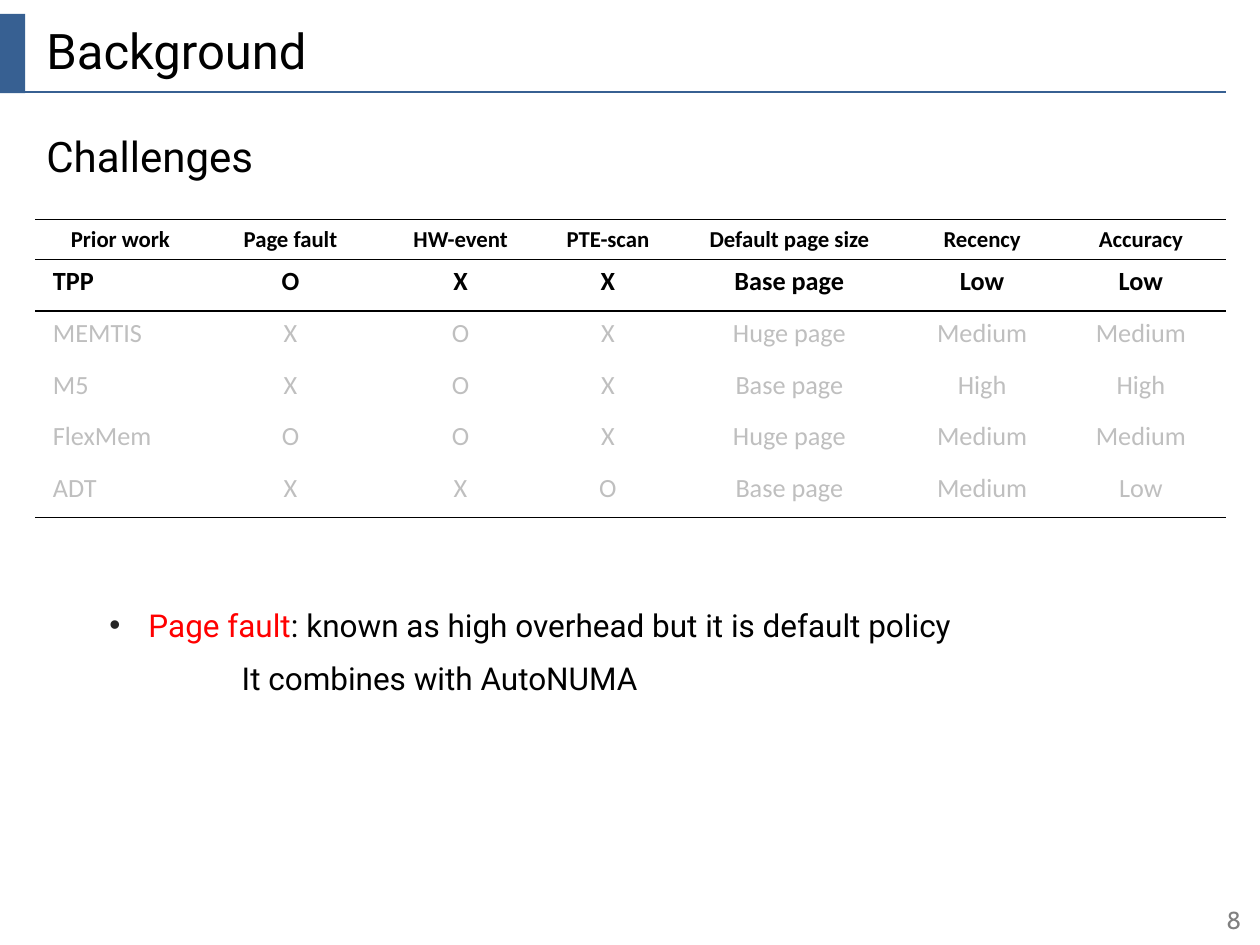
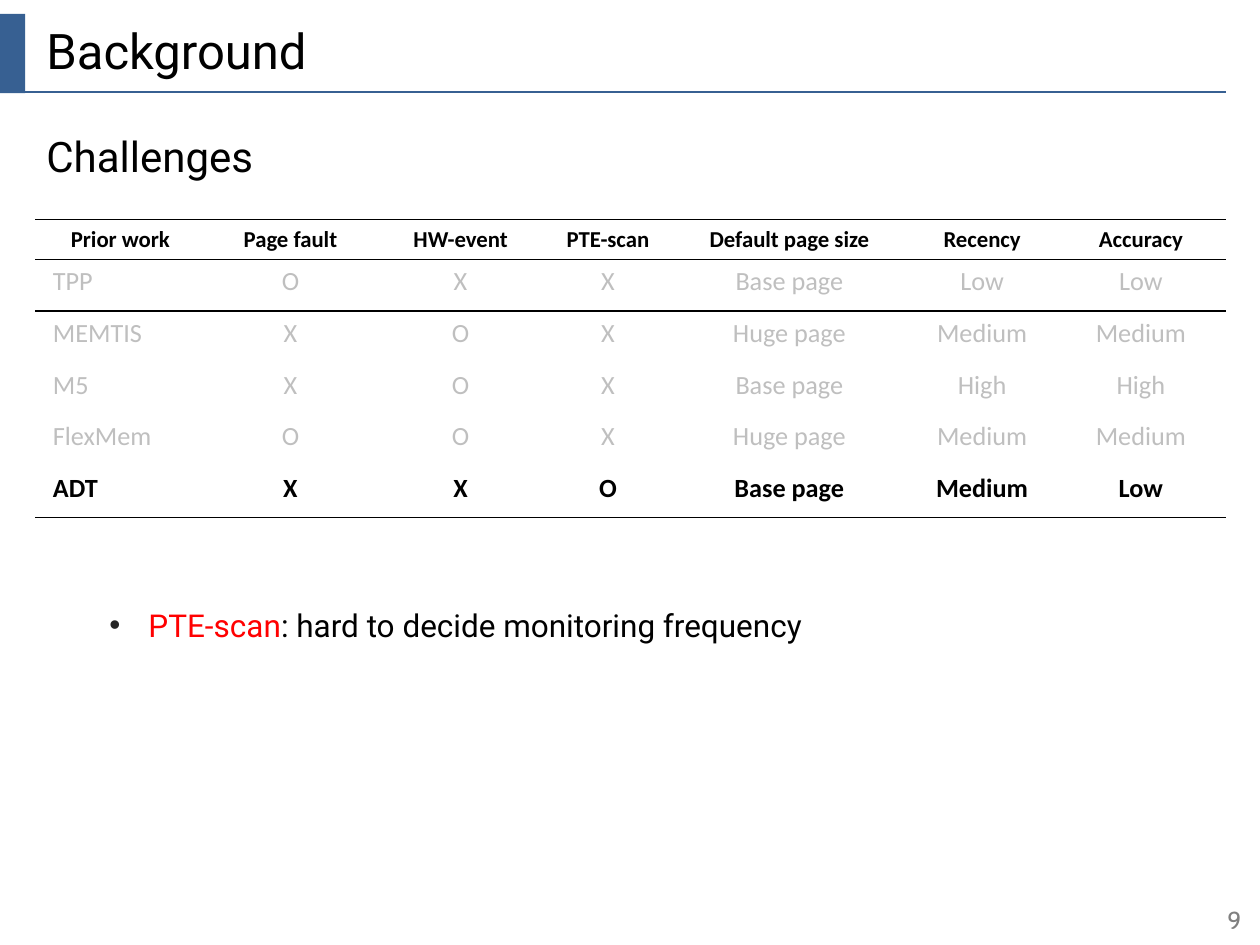
from dataclasses import dataclass

from lxml.etree import SubElement
from pptx import Presentation
from pptx.dml.color import RGBColor as RGB
from pptx.enum.shapes import MSO_CONNECTOR as CONN, MSO_SHAPE as SHAPE
from pptx.enum.text import MSO_ANCHOR as ANCHOR, PP_ALIGN as ALIGN
from pptx.oxml.ns import qn
from pptx.util import Inches, Pt


@dataclass(frozen=True)
class Theme:
    """Colours, fonts and type sizes of the deck."""
    accent: RGB = RGB(0x37, 0x60, 0x92)
    ink: RGB = RGB(0, 0, 0)
    muted: RGB = RGB(0xBF, 0xBF, 0xBF)
    grey: RGB = RGB(0x80, 0x80, 0x80)
    key: RGB = RGB(0xFF, 0, 0)
    bullet: str = "262626"
    body_font: str = "Roboto"
    table_font: str = "Calibri"
    number_font: str = "Cabin"
    title_size: int = 28
    heading_size: int = 24
    body_size: int = 18
    cell_size: int = 15
    header_size: int = 13
    number_size: int = 14
    line_gap: int = 9


T = Theme()
LEFT, WIDTH = 0.27, 9.45
NO_STYLE = "{2D5ABB26-0587-4C30-8999-92F81FD0307C}"
COL_WIDTHS = [1.35, 1.35, 1.35, 0.99, 1.89, 1.17, 1.35]
HEADER_HEIGHT, ROW_HEIGHT = 0.32, 0.41
HEADERS = ["Prior work", "Page fault", "HW-event", "PTE-scan",
           "Default page size", "Recency", "Accuracy"]
PRIOR_WORK = [
    ["TPP", "O", "X", "X", "Base page", "Low", "Low"],
    ["MEMTIS", "X", "O", "X", "Huge page", "Medium", "Medium"],
    ["M5", "X", "O", "X", "Base page", "High", "High"],
    ["FlexMem", "O", "O", "X", "Huge page", "Medium", "Medium"],
    ["ADT", "X", "X", "O", "Base page", "Medium", "Low"],
]
SLIDES = [
    (8, "TPP", "Page fault", ": known as high overhead but it is default policy",
     "It combines with AutoNUMA"),
    (9, "ADT", "PTE-scan", ": hard to decide monitoring frequency", None),
]


def add_run(p, text, color, **fmt):
    """Add a run with the given colour and font attributes."""
    r = p.add_run()
    r.text = text
    r.font.color.rgb = color
    for name, value in fmt.items():
        setattr(r.font, name, value)


def add_box(s, left, top, width, height, anchor=ANCHOR.TOP):
    """Add a wrapping text box and return its text frame."""
    tf = s.shapes.add_textbox(*map(Inches, (left, top, width, height))).text_frame
    tf.word_wrap = True
    tf.vertical_anchor = anchor
    return tf


def set_indent(p, margin, hanging=0.0, bullet=None):
    """Indent a paragraph, with an optional hanging bullet."""
    pPr = p._p.get_or_add_pPr()
    pPr.set("marL", str(Inches(margin)))
    pPr.set("indent", str(-Inches(hanging)))
    if bullet:
        color = SubElement(pPr, qn("a:buClr"))
        SubElement(color, qn("a:srgbClr"), val=T.bullet)
        SubElement(pPr, qn("a:buFont"), typeface="Arial")
        SubElement(pPr, qn("a:buChar"), char=bullet)


def add_frame(s, number):
    """Add the title band, its rule, the headings and the slide number."""
    sp = s.shapes.add_shape(SHAPE.RECTANGLE, *map(Inches, (0, 0.11, 0.2, 0.63)))
    sp.shadow.inherit = False
    sp.fill.solid()
    sp.fill.fore_color.rgb = T.accent
    sp.line.fill.background()

    rule = s.shapes.add_connector(CONN.STRAIGHT, *map(Inches, (0, 0.73, 9.73, 0.73)))
    rule.line.color.rgb = T.accent
    rule.line.width = Pt(0.75)
    SubElement(rule.element.spPr, qn("a:effectLst"))

    tf = add_box(s, LEFT, 0, WIDTH, 0.8, ANCHOR.MIDDLE)
    add_run(tf.paragraphs[0], "Background", T.ink, name=T.body_font, size=Pt(T.title_size))
    tf = add_box(s, LEFT, 0.99, WIDTH, 0.6)
    add_run(tf.paragraphs[0], "Challenges", T.ink, name=T.body_font, size=Pt(T.heading_size))

    tf = add_box(s, 8.64, 7.1, 1.31, 0.4, ANCHOR.MIDDLE)
    p = tf.paragraphs[0]
    p.alignment = ALIGN.RIGHT
    add_run(p, str(number), T.grey, name=T.number_font, size=Pt(T.number_size))


def add_border(cell, side):
    """Draw a one-point border on one side of a cell."""
    ln = SubElement(cell._tc.get_or_add_tcPr(), qn(f"a:ln{side}"), w=str(Pt(1)))
    fill = SubElement(ln, qn("a:solidFill"))
    SubElement(fill, qn("a:srgbClr"), val=str(T.ink))


def add_prior_work_table(s, focus):
    """Add the comparison table with one row emphasised."""
    rows = [HEADERS] + PRIOR_WORK
    height = HEADER_HEIGHT + ROW_HEIGHT * len(PRIOR_WORK)
    sp = s.shapes.add_table(len(rows), len(HEADERS),
                            *map(Inches, (LEFT + 0.01, 1.74, WIDTH, height)))
    sp.element.find(".//" + qn("a:tableStyleId")).text = NO_STYLE
    table = sp.table
    table.first_row = table.horz_banding = False
    for col, width in zip(table.columns, COL_WIDTHS):
        col.width = Inches(width)
    for i, values in enumerate(rows):
        header = i == 0
        strong = header or values[0] == focus
        sides = "TB" if header else "T" if i == 1 else "B" if i == len(rows) - 1 else ""
        fmt = {"name": T.table_font, "bold": strong,
               "size": Pt(T.header_size if header else T.cell_size)}
        table.rows[i].height = Inches(HEADER_HEIGHT if header else ROW_HEIGHT)
        for j, value in enumerate(values):
            cell = table.cell(i, j)
            for side in sides:
                add_border(cell, side)
            cell.fill.background()
            p = cell.text_frame.paragraphs[0]
            if header or j:
                p.alignment = ALIGN.CENTER
            else:
                cell.margin_left = Inches(0.14)
            add_run(p, value, T.ink if strong else T.muted, **fmt)


def add_remark(s, term, remark, detail):
    """Add the bulleted remark and its optional second line."""
    fmt = {"name": T.body_font, "size": Pt(T.body_size)}
    tf = add_box(s, LEFT, 4.76, WIDTH, 1.2)
    p = tf.paragraphs[0]
    p.space_after = Pt(T.line_gap)
    set_indent(p, 0.81, 0.31, "•")
    add_run(p, term, T.key, **fmt)
    add_run(p, remark, T.ink, **fmt)
    if detail:
        p = tf.add_paragraph()
        set_indent(p, 1.55)
        add_run(p, detail, T.ink, **fmt)


def main():
    """Build the two challenge slides."""
    prs = Presentation()
    prs.slide_width, prs.slide_height = Inches(10), Inches(7.5)
    for number, focus, term, remark, detail in SLIDES:
        s = prs.slides.add_slide(prs.slide_layouts[6])
        add_frame(s, number)
        add_prior_work_table(s, focus)
        add_remark(s, term, remark, detail)
    prs.save("out.pptx")


if __name__ == "__main__":
    main()
